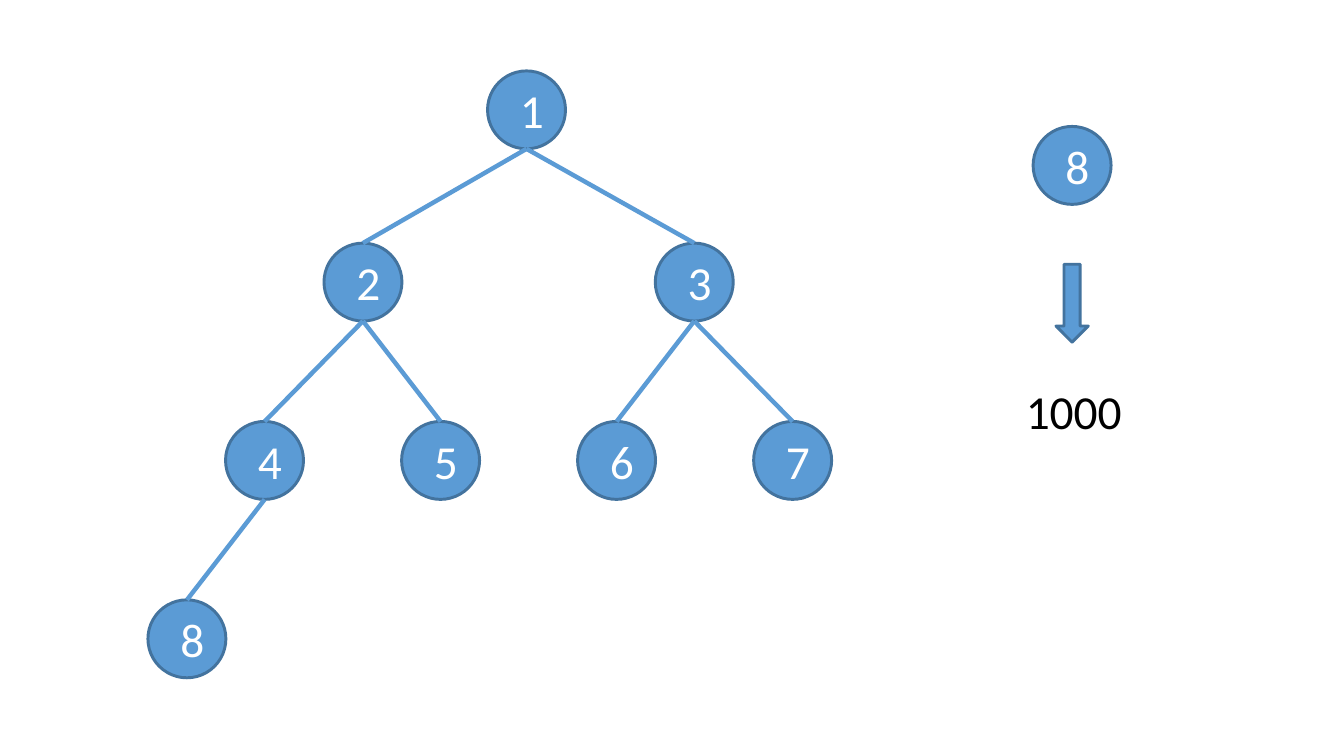
"""Build a slide with a numbered binary tree and the binary code of one node."""
from lxml.etree import SubElement
from pptx import Presentation
from pptx.dml.color import RGBColor
from pptx.enum.shapes import MSO_CONNECTOR as CONN, MSO_SHAPE as SHAPE
from pptx.enum.text import MSO_ANCHOR, MSO_AUTO_SIZE, PP_ALIGN
from pptx.oxml.ns import qn
from pptx.util import Pt

BLUE = RGBColor(0x5B, 0x9B, 0xD5)
DARK_BLUE = RGBColor(0x43, 0x73, 0x9E)
WHITE = RGBColor(0xFF, 0xFF, 0xFF)
BLACK = RGBColor(0, 0, 0)
DIAMETER = 26.3
RADIUS = DIAMETER / 2
LEAF_GAP = 59.4


def set_text(tf, text, color):
    p = tf.paragraphs[0]
    p.text = text
    p.font.name = "Calibri"
    p.font.size = Pt(16)
    p.font.color.rgb = color
    return p


def add_blue_shape(s, kind, x, y, width, height):
    sp = s.shapes.add_shape(kind, Pt(x), Pt(y), Pt(width), Pt(height))
    sp.shadow.inherit = False
    sp.fill.solid()
    sp.fill.fore_color.rgb = BLUE
    sp.line.color.rgb = DARK_BLUE
    sp.line.width = Pt(1)
    return sp


def add_node(s, number, cx, cy):
    sp = add_blue_shape(s, SHAPE.OVAL, cx - RADIUS, cy - RADIUS, DIAMETER, DIAMETER)
    tf = sp.text_frame
    tf.vertical_anchor = MSO_ANCHOR.MIDDLE
    set_text(tf, str(number), WHITE).alignment = PP_ALIGN.CENTER


def add_edge(s, parent, child):
    (px, py), (cx, cy) = parent, child
    line = s.shapes.add_connector(
        CONN.STRAIGHT, Pt(px), Pt(py + RADIUS), Pt(cx), Pt(cy - RADIUS))
    line.line.color.rgb = BLUE
    line.line.width = Pt(1.5)
    SubElement(line._element.spPr, qn("a:effectLst"))


def add_tree(s, left, top):
    levels = [
        (13.2, [127.8]),
        (71.3, [72.6, 184.4]),
        (131.5, [39.4 + LEAF_GAP * i for i in range(4)]),
        (191.7, [13.2]),
    ]
    centers = [(left + x, top + y) for y, xs in levels for x in xs]
    nodes = dict(enumerate(centers, start=1))
    for number, (cx, cy) in nodes.items():
        add_node(s, number, cx, cy)
    for number in range(2, len(nodes) + 1):
        add_edge(s, nodes[number // 2], nodes[number])


def add_code(s, left, top, number):
    cx = left + 22.7
    add_node(s, number, cx, top + RADIUS)
    width = 10.9
    add_blue_shape(s, SHAPE.DOWN_ARROW, cx - width / 2, top + 46.5, width, DIAMETER)
    tf = s.shapes.add_textbox(Pt(left), Pt(top + 82.8), Pt(86.4), Pt(26.6)).text_frame
    tf.word_wrap = True
    tf.auto_size = MSO_AUTO_SIZE.SHAPE_TO_FIT_TEXT
    set_text(tf, f"{number:b}", BLACK)


prs = Presentation()
prs.slide_width, prs.slide_height = Pt(453.54), Pt(255.12)
slide = prs.slides.add_slide(prs.slide_layouts[6])
add_tree(slide, 49.9, 23.9)
add_code(slide, 339.1, 42.7, 8)
prs.save("out.pptx")
